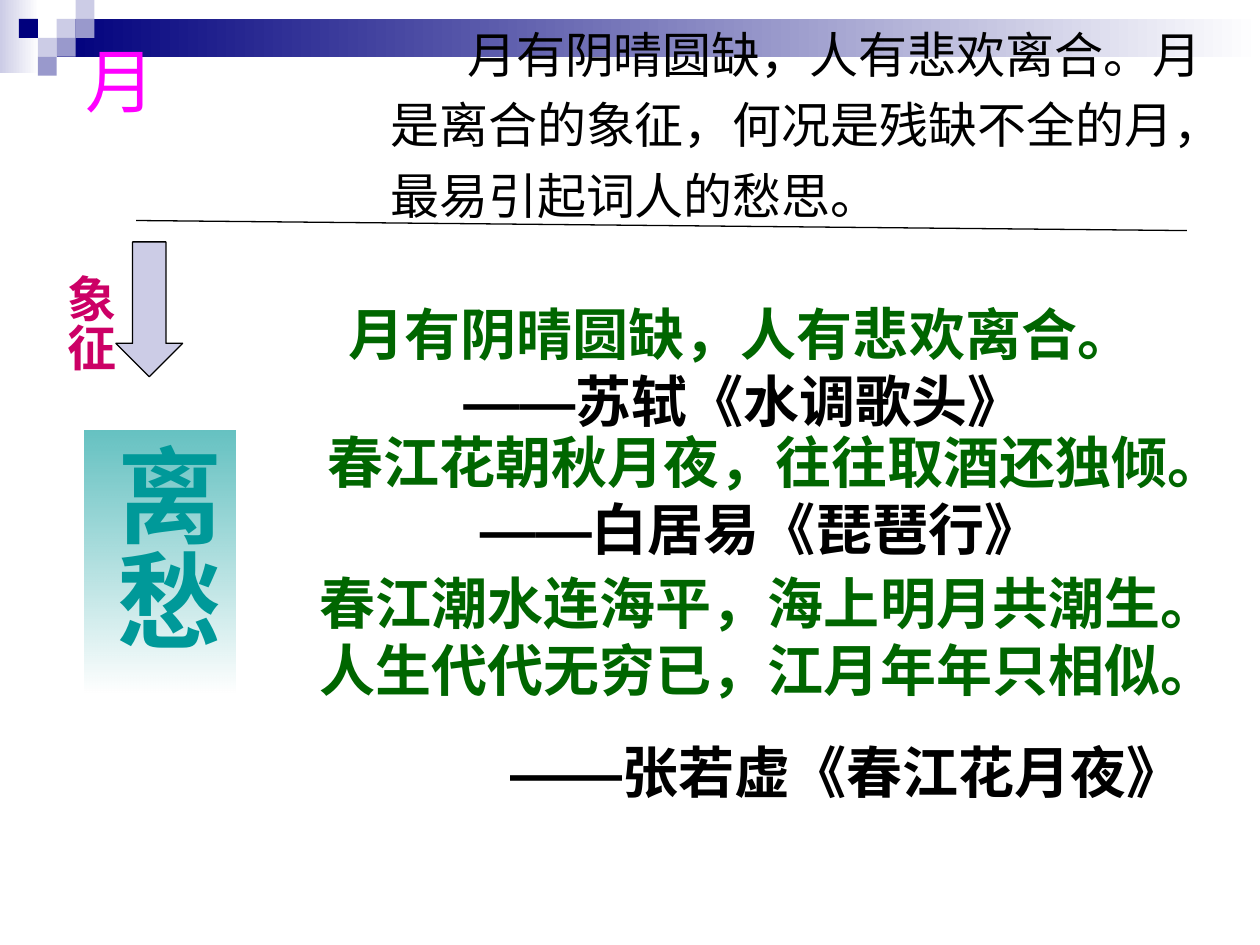
from lxml import etree
from pptx import Presentation
from pptx.dml.color import RGBColor
from pptx.enum.shapes import MSO_CONNECTOR, MSO_SHAPE
from pptx.enum.text import MSO_ANCHOR, MSO_AUTO_SIZE, PP_ALIGN
from pptx.oxml.ns import qn
from pptx.util import Inches, Pt

RECTANGLE = MSO_SHAPE.RECTANGLE
DOWN_ARROW = MSO_SHAPE.DOWN_ARROW
STRAIGHT = MSO_CONNECTOR.STRAIGHT
GROW = MSO_AUTO_SIZE.SHAPE_TO_FIT_TEXT
TOP = MSO_ANCHOR.TOP
LEFT = PP_ALIGN.LEFT

COLORS = {
    "navy": "00007D", "lavender": "CCCCE6", "violet": "9999CC",
    "white": "FFFFFF", "black": "000000", "green": "006600",
    "crimson": "CC0066", "teal": "009999", "magenta": "FF00FF",
}
CJK, ARIAL, DEJAVU = "Noto Sans CJK SC", "Arial", "DejaVu Sans"
TILE = 0.15


def color(name):
    return RGBColor.from_string(COLORS[name])


def add_block(slide, kind, box, fill):
    """Add a preset shape; a pair of colour names makes a gradient."""
    shape = slide.shapes.add_shape(kind, *map(Inches, box))
    shape.shadow.inherit = False
    shape.line.fill.background()
    if isinstance(fill, str):
        shape.fill.solid()
        shape.fill.fore_color.rgb = color(fill)
    else:
        shape.fill.gradient()
        shape.fill.gradient_angle = 0
        for position, (stop, name) in enumerate(zip(shape.fill.gradient_stops, fill)):
            stop.position = position
            stop.color.rgb = color(name)
    return shape


def set_opacity(shape, percents):
    stops = shape.element.spPr.iter(qn("a:srgbClr"))
    for stop_color, percent in zip(list(stops), percents):
        etree.SubElement(stop_color, qn("a:alpha"), val=str(percent * 1000))


def add_text_box(slide, box):
    text_frame = slide.shapes.add_textbox(*map(Inches, box)).text_frame
    text_frame.word_wrap = True
    text_frame.auto_size = GROW
    return text_frame


def make_vertical(text_frame):
    text_frame.word_wrap = True
    text_frame.auto_size = GROW
    text_frame.vertical_anchor = TOP
    text_frame.margin_left = text_frame.margin_right = Inches(0.05)
    text_frame.margin_top = text_frame.margin_bottom = Inches(0.1)
    text_frame._txBody.bodyPr.set("vert", "eaVert")


def write(paragraph, text, size, font_name, color_name, bold=False):
    run = paragraph.add_run()
    run.text = text
    run.font.size = Pt(size)
    run.font.bold = bold
    run.font.color.rgb = color(color_name)
    run.font.name = font_name
    latin = run.font._element.find(qn("a:latin"))
    latin.addnext(latin.makeelement(qn("a:ea"), {"typeface": font_name}))
    paragraph.alignment = LEFT
    return run


def indent_first_line(paragraph, inches):
    paragraph._p.get_or_add_pPr().set("indent", str(Inches(inches)))


def add_quote(slide, box, verse, verse_font, source, source_font, indent, gap=0):
    """Add green verse followed by an indented black attribution."""
    text_frame = add_text_box(slide, box)
    write(text_frame.paragraphs[0], verse, 32, verse_font, "green", True)
    attribution = text_frame.add_paragraph()
    attribution.space_before = Pt(gap)
    indent_first_line(attribution, indent)
    write(attribution, "——", 32, ARIAL, "black", True)
    write(attribution, source, 32, source_font, "black", True)


def add_banner(slide):
    add_block(slide, RECTANGLE, (0, 0, 0.31, 0.58), ("lavender", "white"))
    add_block(slide, RECTANGLE, (0.45, 0.15, 9.55, 0.3), ("navy", "white"))
    # Mosaic tiles as (column, row, colour)
    tiles = [(3, 1, "lavender"), (4, 0, "lavender"), (4, 1, "violet"),
             (2, 2, "lavender"), (1, 1, "navy"), (3, 2, "violet"), (2, 3, "violet")]
    for column, row, name in tiles:
        add_block(slide, RECTANGLE, (column * TILE, row * TILE, TILE, TILE), name)


def add_introduction(slide):
    paragraph = add_text_box(slide, (3, 0.05, 7, 1.78)).paragraphs[0]
    paragraph.line_spacing = 1.2
    indent_first_line(paragraph, 0.61)
    write(paragraph, "月有阴晴圆缺，人有悲欢离合。月是离合的象征，何况是残缺不全的月，最易引起词人的愁思。",
          28, ARIAL, "black")


def add_symbolism(slide):
    arrow = add_block(slide, DOWN_ARROW, (0.92, 1.92, 0.53, 1.07), "lavender")
    arrow.line.color.rgb = color("black")
    arrow.line.width = Pt(0.75)

    label = add_text_box(slide, (0.34, 2.08, 0.66, 1.17))
    make_vertical(label)
    write(label.paragraphs[0], "象征", 28, DEJAVU, "crimson", True)

    panel = add_block(slide, RECTANGLE, (0.67, 3.42, 1.2, 2.08), ("teal", "white"))
    panel.fill.gradient_angle = 270
    set_opacity(panel, (60, 63))
    make_vertical(panel.text_frame)
    write(panel.text_frame.paragraphs[0], "离愁", 60, DEJAVU, "teal", True)


def add_heading(slide):
    text_frame = add_text_box(slide, (0.58, 0.25, 1.33, 1.5))
    text_frame.auto_size = MSO_AUTO_SIZE.NONE
    text_frame.word_wrap = False
    run = write(text_frame.paragraphs[0], "月", 40, CJK, "magenta")
    # Thin black glyph outline
    properties = run.font._element
    outline = properties.makeelement(qn("a:ln"), {"w": str(Pt(0.75))})
    properties.insert(0, outline)
    fill = etree.SubElement(outline, qn("a:solidFill"))
    etree.SubElement(fill, qn("a:srgbClr"), val=COLORS["black"])


def add_divider(slide):
    points = map(Inches, (1.08, 1.75, 9.42, 1.83))
    divider = slide.shapes.add_connector(STRAIGHT, *points)
    divider.line.color.rgb = color("black")
    divider.line.width = Pt(0.75)
    etree.SubElement(divider.element.spPr, qn("a:effectLst"))


def main():
    presentation = Presentation()
    presentation.slide_width = Inches(10)
    presentation.slide_height = Inches(7.5)
    slide = presentation.slides.add_slide(presentation.slide_layouts[6])

    add_banner(slide)
    add_introduction(slide)
    add_symbolism(slide)
    add_heading(slide)
    add_divider(slide)

    # Moon verses
    add_quote(slide, (2.67, 2.33, 7.33, 1.17), "月有阴晴圆缺，人有悲欢离合。", CJK,
              "苏轼《水调歌头》", CJK, 0.91)
    add_quote(slide, (2.5, 3.34, 7.5, 1.17), "春江花朝秋月夜，往往取酒还独倾。", CJK,
              "白居易《琵琶行》", CJK, 1.21)
    add_quote(slide, (2.44, 4.46, 7.56, 2.51),
              "春江潮水连海平，海上明月共潮生。 人生代代无穷已，江月年年只相似。", ARIAL,
              "张若虚《春江花月夜》", ARIAL, 1.51, gap=20)

    presentation.save("out.pptx")


if __name__ == "__main__":
    main()
